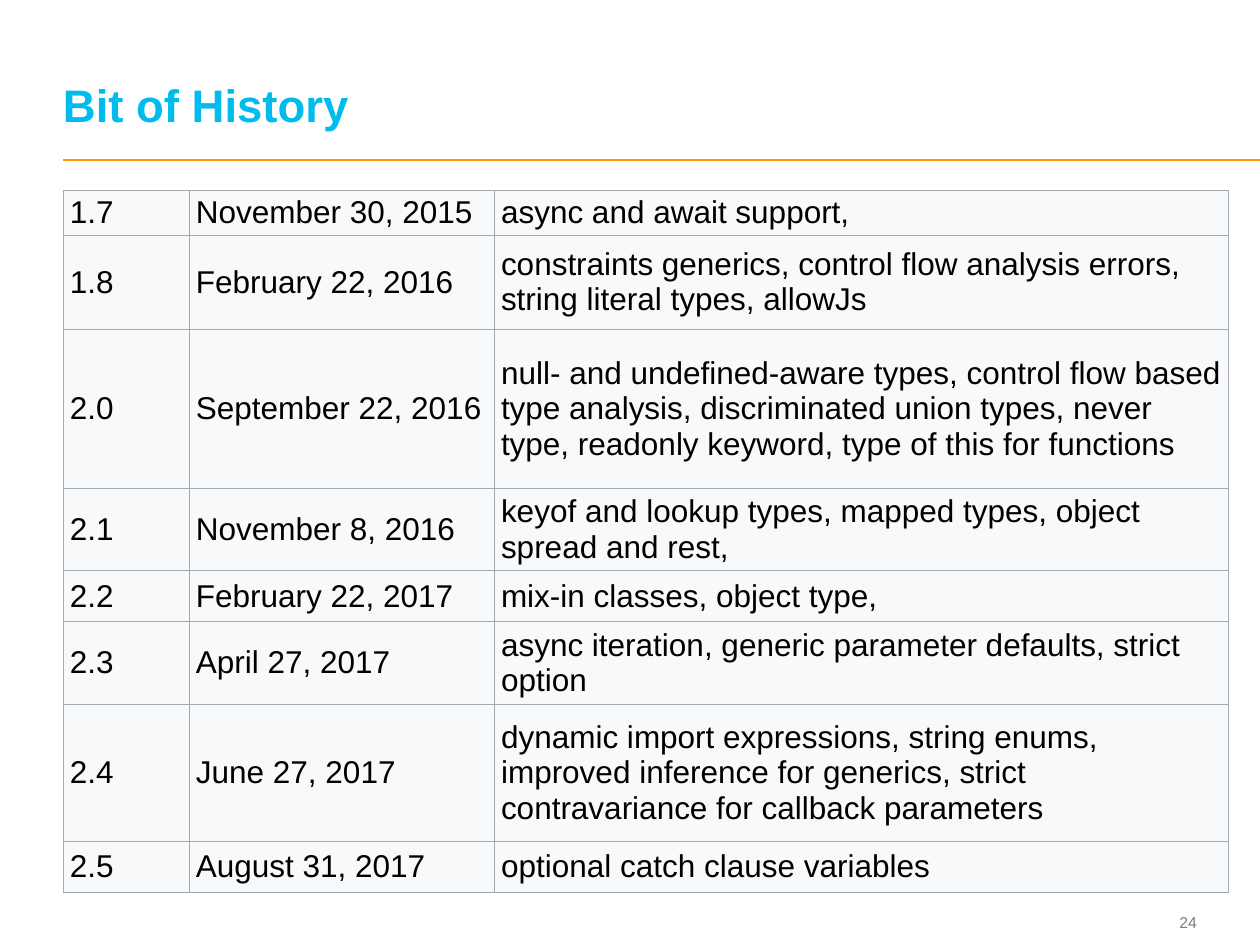
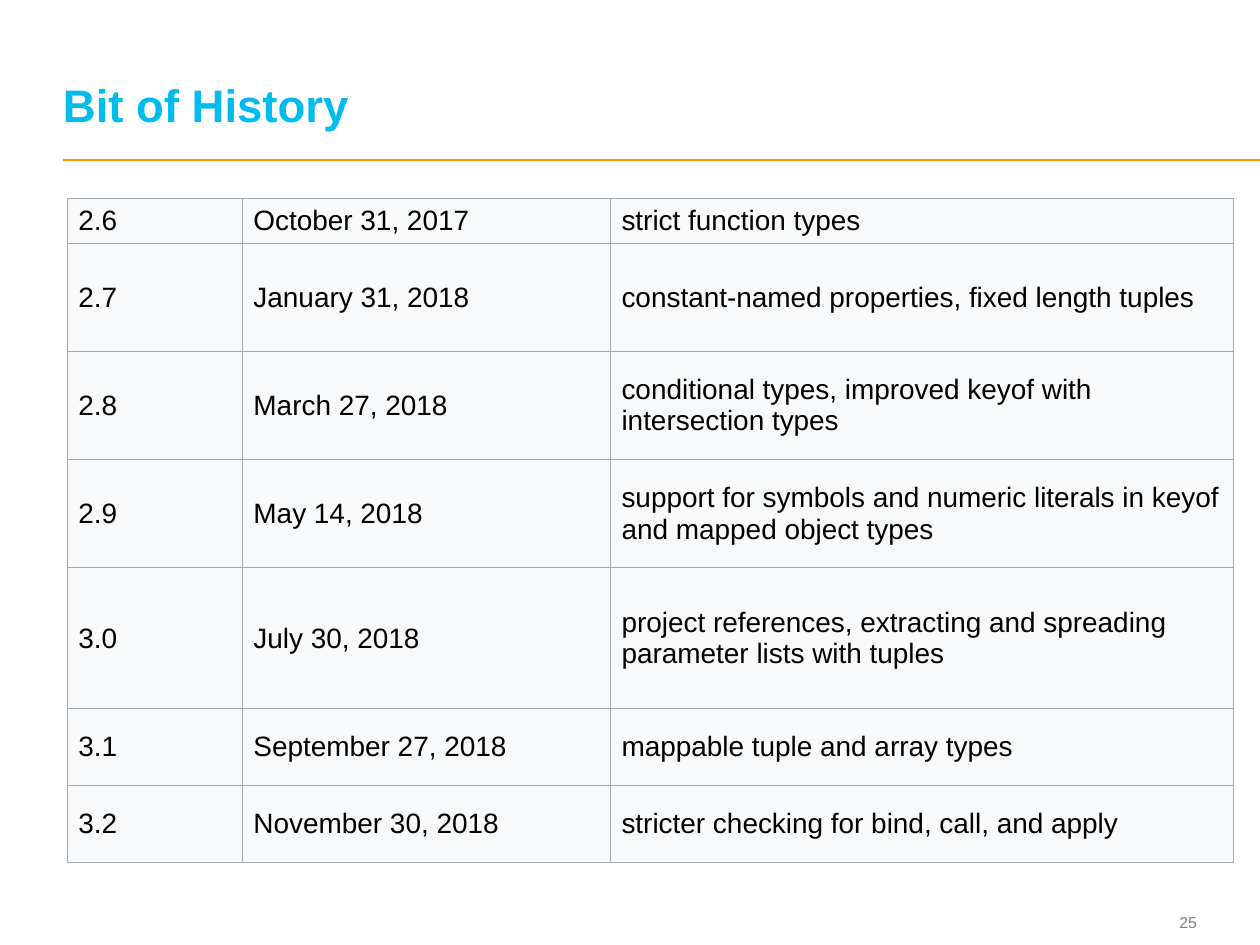
"""Build the two release-history slides."""
from dataclasses import dataclass

from lxml.etree import SubElement
from pptx import Presentation
from pptx.dml.color import RGBColor as Rgb
from pptx.enum.shapes import MSO_CONNECTOR as Connector
from pptx.enum.text import MSO_ANCHOR as Anchor, PP_ALIGN as Align
from pptx.oxml.ns import qn
from pptx.util import Cm, Pt


@dataclass(frozen=True)
class Theme:
    """Colours, font and type sizes shared by the slides."""
    font: str = "Arial"
    title: str = "00BBEE"
    rule: str = "FF9900"
    number: str = "7F7F7F"
    text: str = "000000"
    cell: str = "F8F9FA"
    border: str = "A2A9B1"
    title_size: float = 26
    number_size: float = 9
    rule_width: float = 1
    border_width: float = 0.6


THEME = Theme()
TITLE = "Bit of History"

HISTORY = [
    {
        "number": 24,
        "corner": (1.27, 3.84),
        "widths": (2.54, 6.15, 14.8),
        "heights": (0.85, 1.9, 3.2, 1.57, 1.02, 1.57, 2.77, 1.02),
        "margins": (0.14, 0.07),
        "size": 18,
        "releases": [
            ("1.7", "November 30, 2015", "async and await support,"),
            ("1.8", "February 22, 2016",
             "constraints generics, control flow analysis errors, "
             "string literal types, allowJs"),
            ("2.0", "September 22, 2016",
             "null- and undefined-aware types, control flow based type analysis, "
             "discriminated union types, never type, readonly keyword, "
             "type of this for functions"),
            ("2.1", "November 8, 2016",
             "keyof and lookup types, mapped types, object spread and rest,"),
            ("2.2", "February 22, 2017", "mix-in classes, object type,"),
            ("2.3", "April 27, 2017",
             "async iteration, generic parameter defaults, strict option"),
            ("2.4", "June 27, 2017",
             "dynamic import expressions, string enums, improved inference "
             "for generics, strict contravariance for callback parameters"),
            ("2.5", "August 31, 2017", "optional catch clause variables"),
        ],
    },
    {
        "number": 25,
        "corner": (1.35, 4.01),
        "widths": (3.53, 7.42, 12.57),
        "heights": (0.89, 2.18, 2.18, 2.18, 2.84, 1.55, 1.55),
        "margins": (0.23, 0.11),
        "size": 16,
        "releases": [
            ("2.6", "October 31, 2017", "strict function types"),
            ("2.7", "January 31, 2018",
             "constant-named properties, fixed length tuples"),
            ("2.8", "March 27, 2018",
             "conditional types, improved keyof with intersection types"),
            ("2.9", "May 14, 2018",
             "support for symbols and numeric literals in keyof "
             "and mapped object types"),
            ("3.0", "July 30, 2018",
             "project references, extracting and spreading "
             "parameter lists with tuples"),
            ("3.1", "September 27, 2018", "mappable tuple and array types"),
            ("3.2", "November 30, 2018",
             "stricter checking for bind, call, and apply"),
        ],
    },
]


def apply(target, values):
    """Set each named attribute of the target."""
    for name, value in values.items():
        setattr(target, name, value)


def write(paragraph, words, size, colour, bold=False):
    """Put words into a paragraph in the theme font."""
    paragraph.text = words
    apply(paragraph.font, {"name": THEME.font, "size": Pt(size), "bold": bold})
    paragraph.font.color.rgb = Rgb.from_string(colour)


def add_label(slide, box, anchor):
    """Add a text box without margins and return its paragraph."""
    frame = slide.shapes.add_textbox(*map(Cm, box)).text_frame
    apply(frame, {"word_wrap": True, "vertical_anchor": anchor,
                  "margin_left": 0, "margin_right": 0,
                  "margin_top": 0, "margin_bottom": 0})
    return frame.paragraphs[0]


def add_rule(slide):
    """Draw the line under the title out to the slide edge."""
    rule = slide.shapes.add_connector(
        Connector.STRAIGHT, Cm(1.27), Cm(3.22), Cm(25.4), Cm(3.22))
    rule.line.color.rgb = Rgb.from_string(THEME.rule)
    rule.line.width = Pt(THEME.rule_width)
    SubElement(rule.element.spPr, qn("a:effectLst"))


def add_frame(slide, number):
    """Add the rule, the slide number and the title."""
    add_rule(slide)
    page = add_label(slide, (22.63, 18.24, 1.5, 0.69), Anchor.MIDDLE)
    write(page, str(number), THEME.number_size, THEME.number)
    page.alignment = Align.RIGHT
    heading = add_label(slide, (1.27, 0.48, 22.78, 2.18), Anchor.BOTTOM)
    write(heading, TITLE, THEME.title_size, THEME.title, bold=True)
    heading.line_spacing = Pt(THEME.title_size)


def add_borders(cell):
    """Draw the four borders of a cell."""
    properties = cell._tc.get_or_add_tcPr()
    for side in ("a:lnL", "a:lnR", "a:lnT", "a:lnB"):
        border = SubElement(properties, qn(side), w=str(Pt(THEME.border_width)))
        fill = SubElement(border, qn("a:solidFill"))
        SubElement(fill, qn("a:srgbClr"), val=THEME.border)


def fill_cell(cell, words, size, margins):
    """Write and format one table cell."""
    across, down = map(Cm, margins)
    apply(cell, {"vertical_anchor": Anchor.MIDDLE,
                 "margin_left": across, "margin_right": across,
                 "margin_top": down, "margin_bottom": down})
    add_borders(cell)
    cell.fill.solid()
    cell.fill.fore_color.rgb = Rgb.from_string(THEME.cell)
    write(cell.text_frame.paragraphs[0], words, size, THEME.text)


def add_releases(slide, page):
    """Add the table of versions, dates and features."""
    widths, heights = page["widths"], page["heights"]
    extent = (*page["corner"], sum(widths), sum(heights))
    table = slide.shapes.add_table(
        len(heights), len(widths), *map(Cm, extent)).table
    apply(table, {"first_row": False, "horz_banding": False})
    for column, width in zip(table.columns, widths):
        column.width = Cm(width)
    for row, height, release in zip(table.rows, heights, page["releases"]):
        row.height = Cm(height)
        for cell, words in zip(row.cells, release):
            fill_cell(cell, words, page["size"], page["margins"])


def main():
    """Build and save the presentation."""
    deck = Presentation()
    apply(deck, {"slide_width": Cm(25.4), "slide_height": Cm(19.05)})
    for page in HISTORY:
        slide = deck.slides.add_slide(deck.slide_layouts[6])
        add_frame(slide, page["number"])
        add_releases(slide, page)
    deck.save("out.pptx")


if __name__ == "__main__":
    main()
